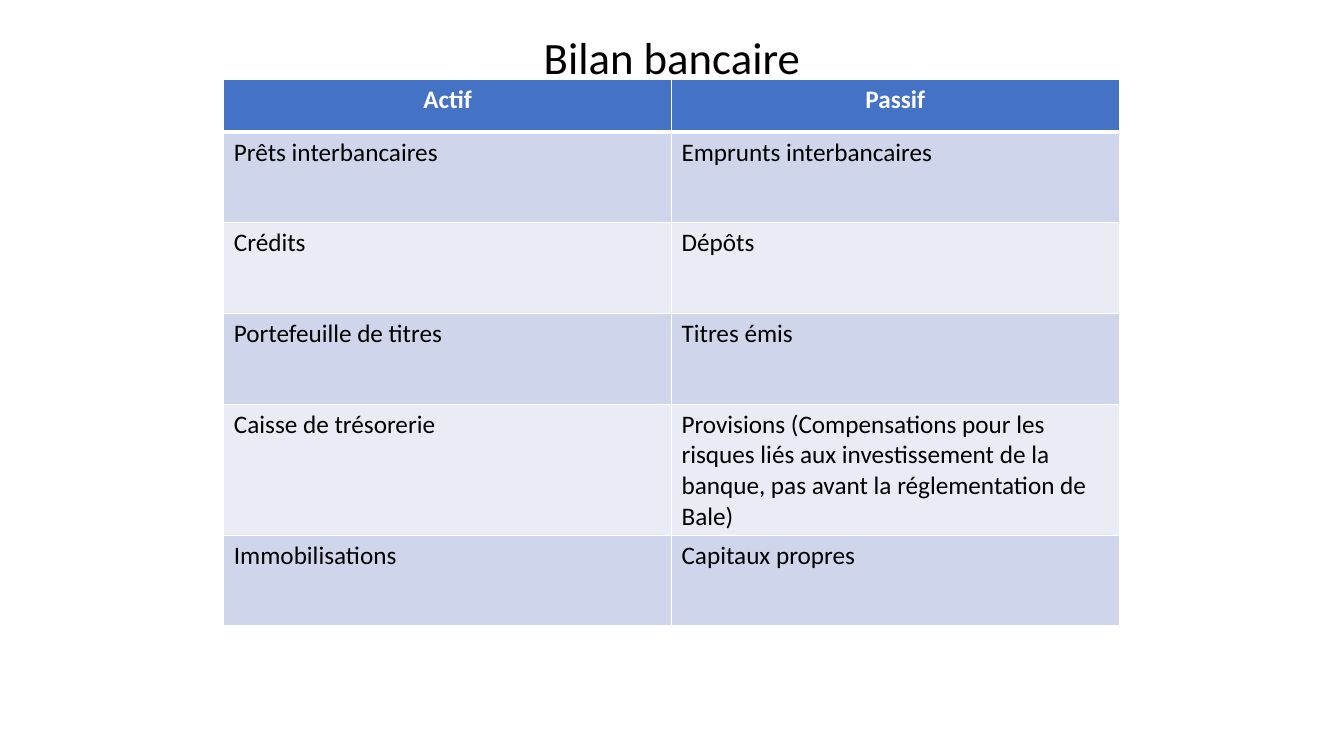
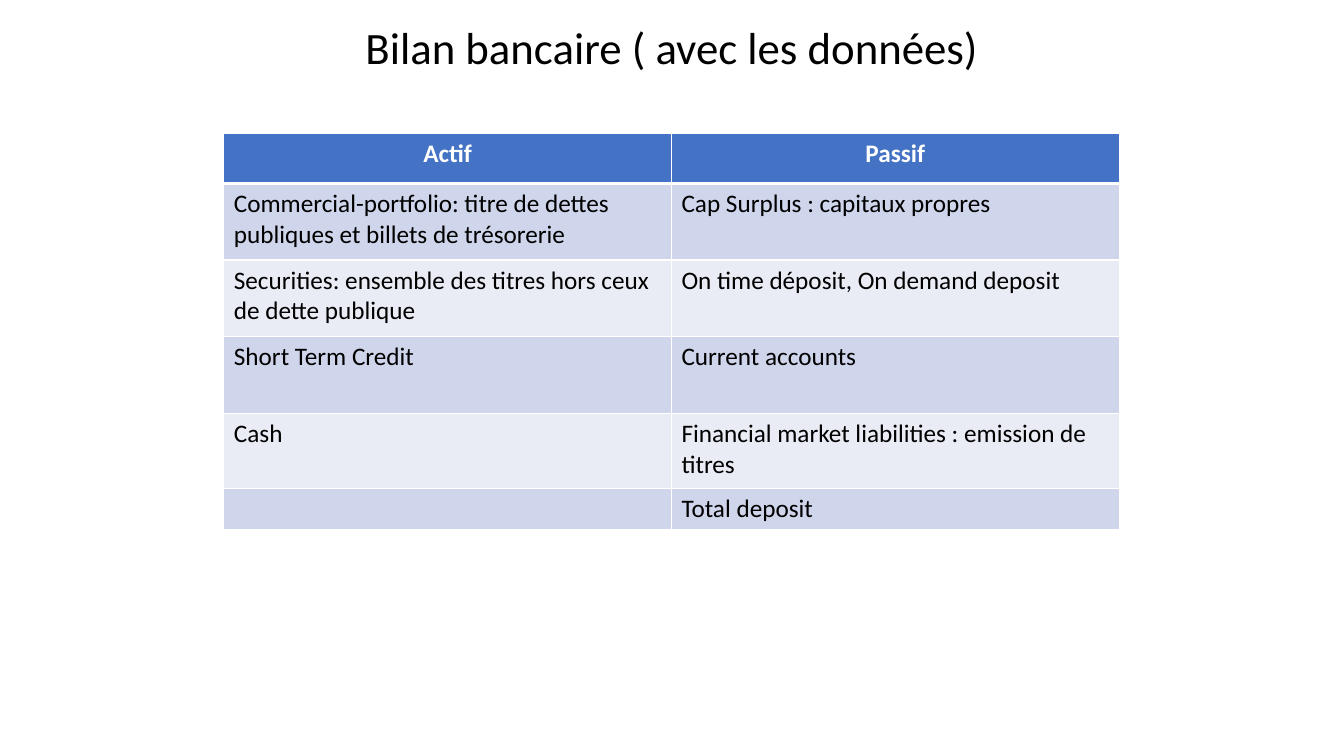
import pptx
import pptx.dml.color
import pptx.enum.text
import pptx.oxml.ns
import pptx.util
from lxml import etree

RGBColor = pptx.dml.color.RGBColor
CENTER = pptx.enum.text.PP_ALIGN.CENTER

BLACK = RGBColor(0x00, 0x00, 0x00)
WHITE = RGBColor(0xFF, 0xFF, 0xFF)
HEADER_BLUE = RGBColor(0x44, 0x72, 0xC4)
BANDS = (RGBColor(0xCF, 0xD5, 0xEA), RGBColor(0xE9, 0xEB, 0xF5))

FONT = "Calibri"
TITLE_SIZE, CELL_SIZE = 32, 18
THIN, THICK = 1, 3

EMU_PER_PX = 9144
SLIDE_W, SLIDE_H = 1333, 750
TITLE_H = 64
TABLE_LEFT, COL_W = 222, 444

HEADER = ("Actif", "Passif")
SLIDES = [
    {
        "title": "Bilan bancaire",
        "title_top": 24,
        "title_width": 277,
        "table_top": 79,
        "row_heights": (52, 90, 90, 90, 130, 90),
        "rows": [
            ("Prêts interbancaires", "Emprunts interbancaires"),
            ("Crédits", "Dépôts"),
            ("Portefeuille de titres", "Titres émis"),
            ("Caisse de trésorerie",
             "Provisions (Compensations pour les risques liés aux investissement "
             "de la banque, pas avant la réglementation de Bale)"),
            ("Immobilisations", "Capitaux propres"),
        ],
    },
    {
        "title": "Bilan bancaire ( avec les données)",
        "title_top": 15,
        "title_width": 634,
        "table_top": 132,
        "row_heights": (50, 76, 76, 76, 75, 40),
        "rows": [
            ("Commercial-portfolio: titre de dettes publiques et billets de trésorerie",
             "Cap Surplus : capitaux propres"),
            ("Securities: ensemble des titres hors ceux de dette publique",
             "On time déposit, On demand deposit"),
            ("Short Term Credit", "Current accounts"),
            ("Cash", "Financial market liabilities : emission de titres"),
            ("", "Total deposit"),
        ],
    },
]


def px(n):
    return pptx.util.Emu(round(n * EMU_PER_PX))


def style_text(p, size, color, bold=False):
    for r in p.runs:
        r.font.name = FONT
        r.font.size = pptx.util.Pt(size)
        r.font.bold = bold
        r.font.color.rgb = color


def add_title(s, text, top, width):
    sp = s.shapes.title
    sp.left, sp.top = px((SLIDE_W - width) / 2), px(top)
    sp.width, sp.height = px(width), px(TITLE_H)
    tf = sp.text_frame
    tf.text = text
    tf.word_wrap = False
    tf.auto_size = pptx.enum.text.MSO_AUTO_SIZE.SHAPE_TO_FIT_TEXT
    tf.vertical_anchor = pptx.enum.text.MSO_ANCHOR.TOP
    p = tf.paragraphs[0]
    p.alignment = CENTER
    style_text(p, TITLE_SIZE, BLACK)


def set_borders(cell, top, bottom):
    """White cell borders; must run before the fill, which follows them in the XML."""
    tc_pr = cell._tc.get_or_add_tcPr()
    qn = pptx.oxml.ns.qn
    for side, width in (("L", THIN), ("R", THIN), ("T", top), ("B", bottom)):
        ln = etree.SubElement(tc_pr, qn("a:ln" + side), w=str(pptx.util.Pt(width)))
        fill = etree.SubElement(ln, qn("a:solidFill"))
        etree.SubElement(fill, qn("a:srgbClr"), val=str(WHITE))


def add_balance_table(s, top, row_heights, rows):
    lines = [HEADER] + rows
    frame = s.shapes.add_table(len(lines), len(HEADER), px(TABLE_LEFT), px(top),
                               px(COL_W * len(HEADER)), px(sum(row_heights)))
    table = frame.table
    table.horz_banding = False
    for col in table.columns:
        col.width = px(COL_W)
    for i, (texts, height) in enumerate(zip(lines, row_heights)):
        table.rows[i].height = px(height)
        header = i == 0
        for j, text in enumerate(texts):
            cell = table.cell(i, j)
            set_borders(cell, THICK if i == 1 else THIN, THICK if header else THIN)
            cell.fill.solid()
            cell.fill.fore_color.rgb = HEADER_BLUE if header else BANDS[(i - 1) % 2]
            p = cell.text_frame.paragraphs[0]
            if text:
                p.text = text
            if header:
                p.alignment = CENTER
            style_text(p, CELL_SIZE, WHITE if header else BLACK, header)


def main():
    prs = pptx.Presentation()
    prs.slide_width, prs.slide_height = px(SLIDE_W), px(SLIDE_H)
    title_only = prs.slide_layouts.get_by_name("Title Only")
    for item in SLIDES:
        s = prs.slides.add_slide(title_only)
        add_title(s, item["title"], item["title_top"], item["title_width"])
        add_balance_table(s, item["table_top"], item["row_heights"], item["rows"])
    prs.save("out.pptx")


if __name__ == "__main__":
    main()
